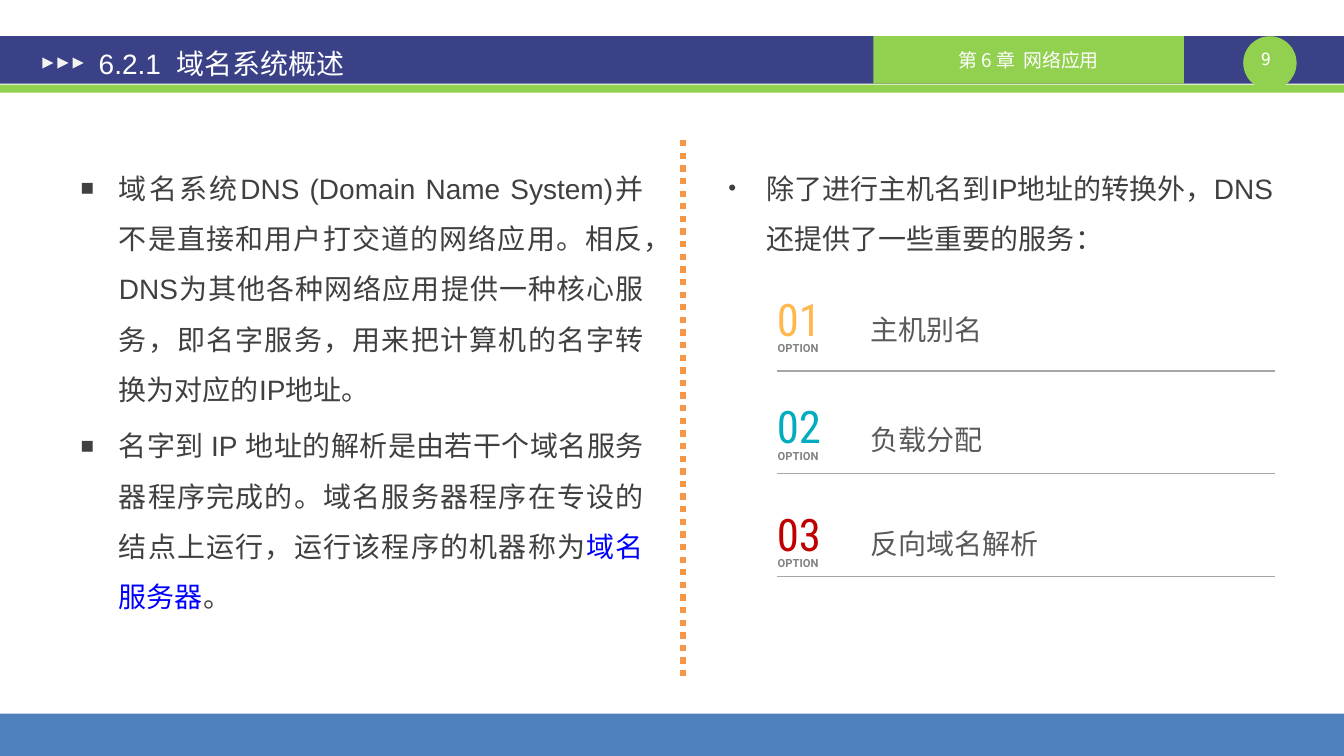
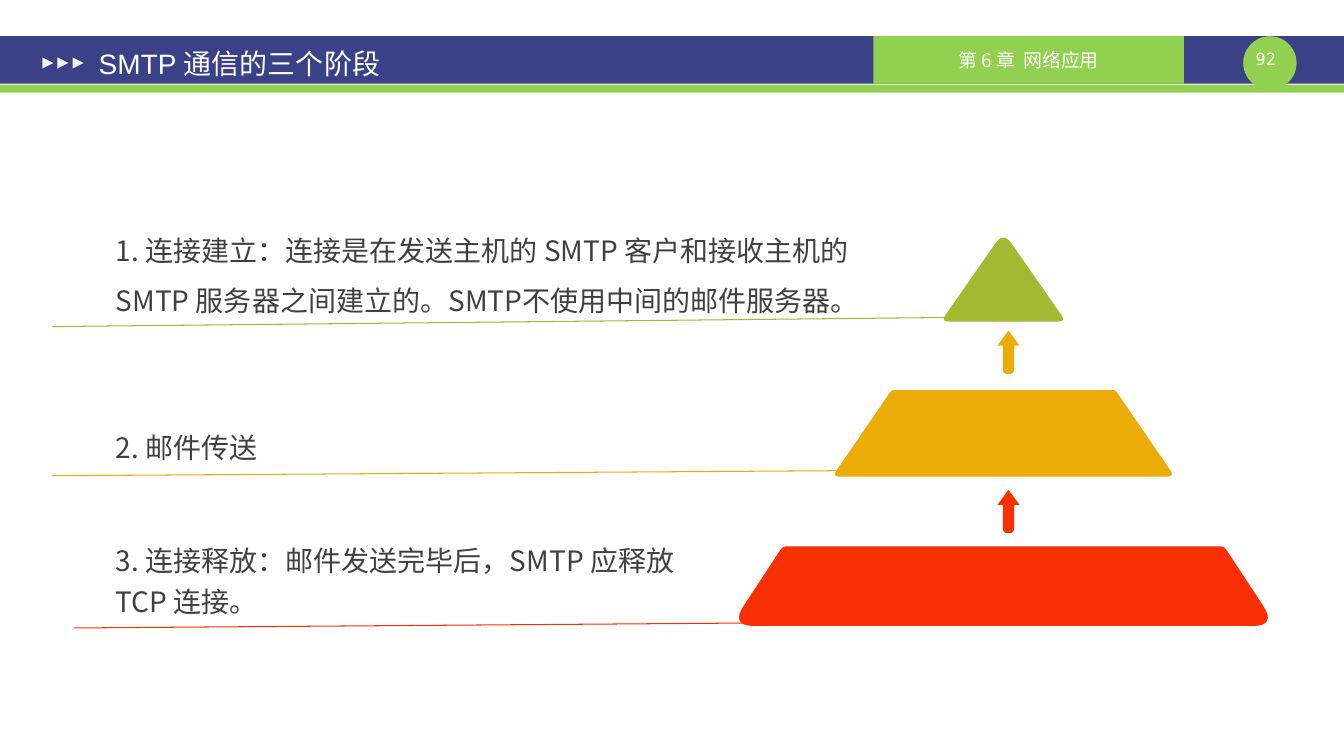
from lxml import etree
from pptx import Presentation
from pptx import util as u
from pptx.dml.color import RGBColor
from pptx.enum import dml, shapes, text
from pptx.oxml import ns

SANS = "Noto Sans CJK SC"
NAVY, GREEN, WHITE, INK = "3A4187", "92D050", "FFFFFF", "404040"
OLIVE, AMBER, RED = "A2B932", "EBAC07", "F83003"
LEFT, CENTER, JUSTIFY = text.PP_ALIGN.LEFT, text.PP_ALIGN.CENTER, text.PP_ALIGN.JUSTIFY
TOP, MIDDLE = text.MSO_ANCHOR.TOP, text.MSO_ANCHOR.MIDDLE
TWO_CONTENT, TITLE_ONLY = 3, 5


def paint(target, color):
    target.solid()
    target.fore_color.rgb = RGBColor.from_string(color)


def add_child(parent, tag, **attributes):
    return etree.SubElement(parent, ns.qn(tag), attributes)


def write(paragraph, content, size=20, font=SANS, color=INK, bold=False, align=LEFT, spacing=None):
    run = paragraph.add_run()
    run.text = content
    run.font.size = u.Pt(size)
    run.font.name = font
    run.font.bold = bold
    paint(run.font.fill, color)
    add_child(run._r.get_or_add_rPr(), "a:ea", typeface=SANS)
    paragraph.alignment = align
    if spacing:
        paragraph.line_spacing = spacing


def set_frame(frame, margins=(0.1, 0.05), anchor=TOP, wrap=True):
    frame.auto_size = text.MSO_AUTO_SIZE.NONE
    frame.word_wrap = wrap
    frame.vertical_anchor = anchor
    frame.margin_left = frame.margin_right = u.Inches(margins[0])
    frame.margin_top = frame.margin_bottom = u.Inches(margins[1])


def set_bullet(paragraph, character):
    properties = paragraph._p.get_or_add_pPr()
    properties.set("marL", str(u.Inches(0.38)))
    properties.set("indent", str(u.Inches(-0.38)))
    add_child(properties, "a:buSzPct", val="80000")
    add_child(properties, "a:buFont", typeface="Arial")
    add_child(properties, "a:buChar", char=character)


def round_corners(corners, steps=8):
    """Return outline points for (x, y, cut) corners, each cut bent into a curve."""
    points = []
    for index, (x, y, cut) in enumerate(corners):
        if not cut:
            points.append((x, y))
            continue
        ends = []
        for near_x, near_y, _ in (corners[index - 1], corners[(index + 1) % len(corners)]):
            share = cut / ((near_x - x) ** 2 + (near_y - y) ** 2) ** 0.5
            ends.append((x + (near_x - x) * share, y + (near_y - y) * share))
        for step in range(steps + 1):
            t = step / steps
            points.append(tuple(
                (1 - t) ** 2 * start + 2 * t * (1 - t) * middle + t ** 2 * end
                for start, middle, end in zip(ends[0], (x, y), ends[1])))
    return points


class Deck:
    """Holds the presentation, its shared style and the current slide."""

    def __init__(self):
        self.presentation = Presentation()
        self.presentation.slide_width = u.Inches(13.34)
        self.presentation.slide_height = u.Inches(7.5)
        self.slide = None

    def add_slide(self, layout, title, number):
        self.slide = self.presentation.slides.add_slide(self.presentation.slide_layouts[layout])
        if len(self.presentation.slides) == 1:
            self.build_master()
        frame = self.place(self.slide.shapes.title, 0.85, 0.39, 5.83, 0.47).text_frame
        set_frame(frame, (0.13, 0.07), MIDDLE)
        write(frame.paragraphs[0], title, font="Arial", color=WHITE)
        self.label(12.3, 0.48, 0.53, 0.2, number, margins=(0, 0),
                   size=12, font="DejaVu Sans Mono", color=WHITE, align=CENTER)

    def build_master(self):
        rectangle = shapes.MSO_SHAPE.RECTANGLE
        chapter = self.shape(8.67, 0.36, 3.08, 0.47, GREEN, rectangle)
        set_frame(chapter.text_frame, anchor=MIDDLE)
        write(chapter.text_frame.paragraphs[0], "第 6 章  网络应用",
              size=13.5, color=WHITE, align=CENTER)
        parts = [
            self.shape(0, 0.36, 13.34, 0.47, NAVY, rectangle),
            self.shape(0, 0.84, 13.34, 0.08, GREEN, rectangle),
            self.shape(12.34, 0.36, 0.53, 0.53, GREEN, shapes.MSO_SHAPE.OVAL),
            chapter,
        ]
        for index in range(3):
            marker = self.shape(0.42 + 0.15 * index, 0.57, 0.11, 0.11, "F2F2F2",
                                shapes.MSO_SHAPE.ISOSCELES_TRIANGLE)
            marker.rotation = 90
            parts.append(marker)
        master_tree = self.presentation.slide_master.shapes.element
        for identifier, part in enumerate(parts, 100):
            part.element.xpath(".//p:cNvPr")[0].set("id", str(identifier))
            master_tree.append(part.element)

    def place(self, shape, left, top, width, height):
        shape.left, shape.top = u.Inches(left), u.Inches(top)
        shape.width, shape.height = u.Inches(width), u.Inches(height)
        return shape

    def finish(self, shape, color):
        shape.shadow.inherit = False
        paint(shape.fill, color)
        shape.line.fill.background()
        return shape

    def shape(self, left, top, width, height, color, kind):
        box = map(u.Inches, (left, top, width, height))
        return self.finish(self.slide.shapes.add_shape(kind, *box), color)

    def outline(self, corners, color):
        points = [(u.Inches(x), u.Inches(y)) for x, y in round_corners(corners)]
        builder = self.slide.shapes.build_freeform(*points[0])
        builder.add_line_segments(points[1:], close=True)
        return self.finish(builder.convert_to_shape(), color)

    def arrow(self, center, top, color):
        head, stem, shoulder, bottom = 0.11, 0.055, top + 0.15, top + 0.43
        self.outline([
            (center, top, 0), (center + head, shoulder, 0), (center + stem, shoulder, 0),
            (center + stem, bottom, 0.05), (center - stem, bottom, 0.05),
            (center - stem, shoulder, 0), (center - head, shoulder, 0)], color)

    def line(self, start, end, color, width, dash=None):
        ends = map(u.Inches, (*start, *end))
        connector = self.slide.shapes.add_connector(shapes.MSO_CONNECTOR.STRAIGHT, *ends)
        paint(connector.line.fill, color)
        connector.line.width = u.Pt(width)
        if dash:
            connector.line.dash_style = dash
        add_child(connector.element.spPr, "a:effectLst")

    def label(self, left, top, width, height, content, margins=(0.1, 0.05),
              anchor=TOP, wrap=True, **style):
        box = self.slide.shapes.add_textbox(*map(u.Inches, (left, top, width, height)))
        set_frame(box.text_frame, margins, anchor, wrap)
        write(box.text_frame.paragraphs[0], content, **style)

    def bullets(self, index, left, character, items, align):
        frame = self.place(self.slide.placeholders[index], left, 1.46, 5.85, 5.5).text_frame
        set_frame(frame, (0.13, 0.07))
        for position, runs in enumerate(items):
            paragraph = frame.add_paragraph() if position else frame.paragraphs[0]
            set_bullet(paragraph, character)
            for content, color in runs:
                write(paragraph, content, font="Arial", color=color, align=align, spacing=1.5)


def add_dns_slide(deck):
    deck.add_slide(TWO_CONTENT, "6.2.1  域名系统概述", "9")
    deck.bullets(1, 0.67, "■", [
        [("域名系统DNS (Domain Name System)并不是直接和用户打交道的网络应用。相反，"
          "DNS为其他各种网络应用提供一种核心服务，即名字服务，"
          "用来把计算机的名字转换为对应的IP地址。", INK)],
        [("名字到 IP 地址的解析是由若干个域名服务器程序完成的。"
          "域名服务器程序在专设的结点上运行，运行该程序的机器称为", INK),
         ("域名服务器", "0000FF"), ("。", INK)],
    ], JUSTIFY)
    deck.bullets(2, 7.1, "•", [
        [("除了进行主机名到IP地址的转换外，DNS还提供了一些重要的服务：", INK)],
    ], LEFT)
    options = [("主机别名", "FFB850", 2.98), ("负载分配", "01ACBE", 4.08),
               ("反向域名解析", "C00000", 5.11)]
    for index, (service, color, service_top) in enumerate(options):
        top = 2.89 + 1.065 * index
        rule = 3.68 + 1.02 * index
        deck.label(7.71, top, 0.49, 0.54, f"{index + 1:02}", margins=(0, 0), anchor=MIDDLE,
                   size=32, font="Roboto Condensed", color=color)
        deck.label(7.62, top + 0.45, 0.63, 0.24, "OPTION", wrap=False,
                   size=8, font="Roboto", color="818181", bold=True)
        deck.label(8.54, service_top, 5.16 - 0.4, 0.47, service, color="595959", spacing=1.2)
        deck.line((7.71, rule), (12.66, rule), "A6A6A6", 1)
    deck.shape(0, 7.08, 13.34, 0.42, "4F81BD", shapes.MSO_SHAPE.RECTANGLE)
    deck.line((6.78, 1.39), (6.78, 6.77), "F79646", 4.5, dml.MSO_LINE.ROUND_DOT)


def add_smtp_slide(deck):
    deck.add_slide(TITLE_ONLY, "SMTP 通信的三个阶段", "92")
    deck.arrow(10.01, 4.86, RED)
    deck.arrow(10.01, 3.28, AMBER)
    deck.outline([(9.96, 2.3, 0.14), (10.58, 3.19, 0.08), (9.34, 3.19, 0.08)], OLIVE)
    deck.outline([(8.85, 3.87, 0.03), (11.07, 3.87, 0.03),
                  (11.66, 4.73, 0.08), (8.26, 4.73, 0.08)], AMBER)
    deck.outline([(7.77, 5.42, 0.04), (12.15, 5.42, 0.04),
                  (12.67, 6.21, 0.24), (7.25, 6.21, 0.24)], RED)
    deck.line((9.38, 3.15), (0.52, 3.24), OLIVE, 0.75)
    deck.line((8.3, 4.67), (0.52, 4.72), AMBER, 0.75)
    deck.line((7.54, 6.18), (0.73, 6.23), RED, 0.75)
    stages = [
        (2.1, 8.16, 1.11, 1.5, "1. 连接建立：连接是在发送主机的 SMTP 客户和接收主机的 "
                               "SMTP 服务器之间建立的。SMTP不使用中间的邮件服务器。"),
        (4.06, 5.87, 0.55, 1.5, "2. 邮件传送"),
        (5.28, 6.21, 0.91, 1.2, "3. 连接释放：邮件发送完毕后，SMTP 应释放 TCP 连接。"),
    ]
    for top, width, height, spacing, content in stages:
        deck.label(1.05, top, width, height, content, spacing=spacing)


def main():
    deck = Deck()
    add_dns_slide(deck)
    add_smtp_slide(deck)
    deck.presentation.save("out.pptx")


if __name__ == "__main__":
    main()
